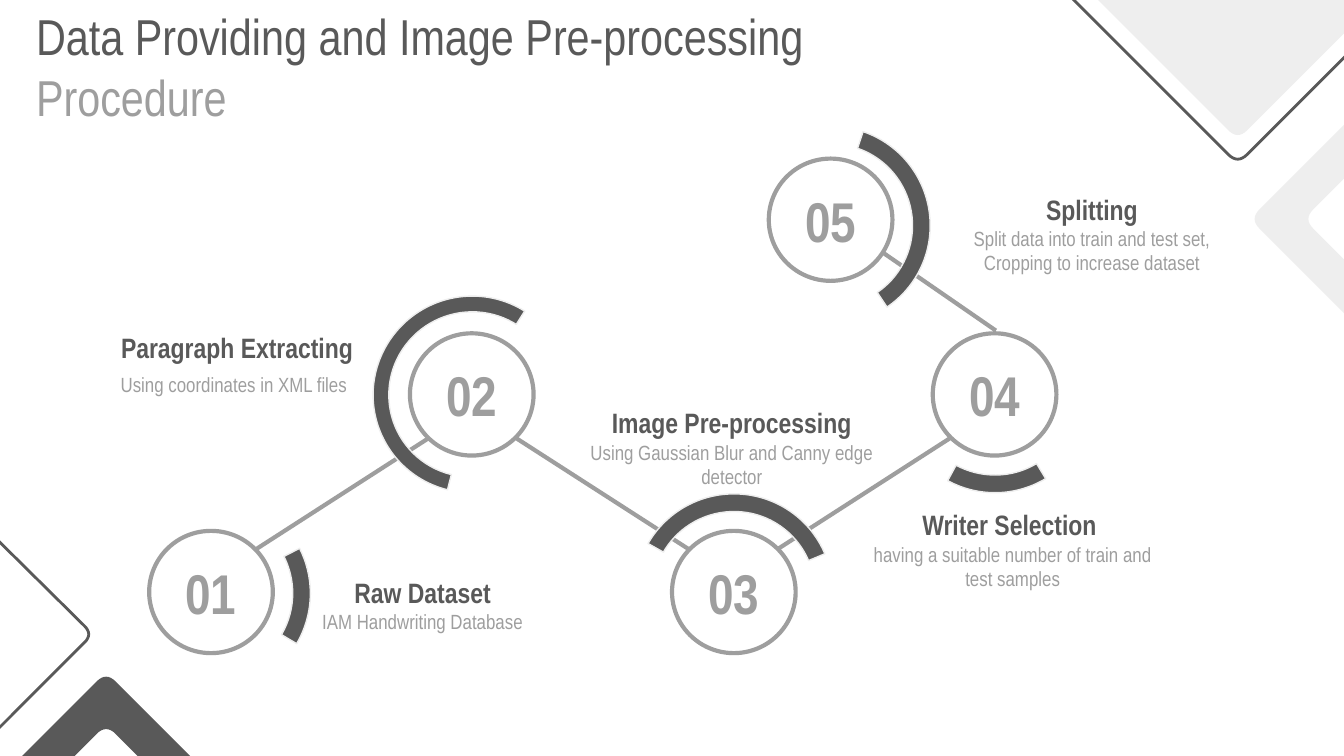
from lxml.etree import SubElement
from pptx import Presentation
from pptx.dml.color import RGBColor
from pptx.enum.shapes import MSO_CONNECTOR, MSO_SHAPE
from pptx.enum.text import MSO_ANCHOR, PP_ALIGN
from pptx.oxml.ns import qn
from pptx.util import Inches, Pt


class Theme:
    font = "Arial Narrow"
    dark = RGBColor(0x59, 0x59, 0x59)
    grey = RGBColor(0x9E, 0x9E, 0x9E)
    pale = RGBColor(0xEE, 0xEE, 0xEE)
    title = {"size": Pt(27), "bold": False}
    number = {"size": Pt(30), "bold": True}
    heading = {"size": Pt(15), "bold": True}
    body = {"size": Pt(11), "bold": False}


class Deck:
    def __init__(self, theme, width):
        self.t = theme
        self.prs = Presentation()
        # Widescreen, 16:9
        self.prs.slide_width = Inches(width)
        self.prs.slide_height = Inches(width) * 9 // 16
        self.s = self.prs.slides.add_slide(self.prs.slide_layouts[6])

    def paint(self, sp, fill=None, line=None, weight=1.0):
        sp.shadow.inherit = False
        for part, color in ((sp.fill, fill), (sp.line.fill, line)):
            if color is None:
                part.background()
            else:
                part.solid()
                part.fore_color.rgb = color
        if line is not None:
            sp.line.width = Pt(weight)

    def frame(self, sp, inset, anchor):
        tf = sp.text_frame
        values = {"word_wrap": True, "vertical_anchor": anchor}
        for side in ("left", "right", "top", "bottom"):
            values[f"margin_{side}"] = Inches(inset)
        for name, value in values.items():
            setattr(tf, name, value)
        return tf

    def run(self, p, text, style, color):
        r = p.add_run()
        r.text = text
        for name, value in {"name": self.t.font, **style}.items():
            setattr(r.font, name, value)
        r.font.color.rgb = color

    def outline(self, vertices, cut=0.07, **look):
        """Draw a polygon; a vertex marked True gets a rounded corner."""
        points = []
        for i, (x, y, is_round) in enumerate(vertices):
            if not is_round:
                points.append((x, y))
                continue
            near, far = vertices[i - 1], vertices[(i + 1) % len(vertices)]
            # All edges at a rounded corner are diagonal
            (ax, ay), (bx, by) = [
                (x + cut * (1 if v[0] > x else -1), y + cut * (1 if v[1] > y else -1))
                for v in (near, far)]
            for k in range(9):
                u = k / 8
                a, b, c = (1 - u) ** 2, 2 * u * (1 - u), u ** 2
                points.append((a * ax + b * x + c * bx, a * ay + b * y + c * by))
        start, *rest = [(Inches(x), Inches(y)) for x, y in points]
        builder = self.s.shapes.build_freeform(*start)
        builder.add_line_segments(rest, close=True)
        self.paint(builder.convert_to_shape(), **look)

    def link(self, x1, y1, x2, y2):
        c = self.s.shapes.add_connector(
            MSO_CONNECTOR.STRAIGHT, Inches(x1), Inches(y1), Inches(x2), Inches(y2))
        c.line.color.rgb = self.t.grey
        c.line.width = Pt(2.25)
        SubElement(c._element.spPr, qn("a:effectLst"))

    def circle(self, x, y, number):
        sp = self.s.shapes.add_shape(
            MSO_SHAPE.OVAL, Inches(x), Inches(y), Inches(0.92), Inches(0.91))
        self.paint(sp, line=self.t.grey, weight=2.25)
        p = self.frame(sp, 0.1, MSO_ANCHOR.MIDDLE).paragraphs[0]
        p.alignment = PP_ALIGN.CENTER
        self.run(p, number, self.t.number, self.t.grey)

    def arc(self, x, y, start, end, thickness, rotation):
        sp = self.s.shapes.add_shape(
            MSO_SHAPE.BLOCK_ARC, Inches(x), Inches(y), Inches(1.46), Inches(1.47))
        # Angles are stored in 60000ths of a degree, scaled by 100000
        for i, value in enumerate((start * 0.6, end * 0.6, thickness)):
            sp.adjustments[i] = value
        sp.rotation = rotation
        self.paint(sp, fill=self.t.dark, line=self.t.pale, weight=0.75)

    def title(self, x, y, w, h, first, second):
        sp = self.s.shapes.add_textbox(Inches(x), Inches(y), Inches(w), Inches(h))
        p = self.frame(sp, 0.1, MSO_ANCHOR.MIDDLE).paragraphs[0]
        self.run(p, first, self.t.title, self.t.dark)
        self.run(p, second, self.t.title, self.t.grey)

    def label(self, x, y, w, heading, body, tail=""):
        sp = self.s.shapes.add_textbox(Inches(x), Inches(y), Inches(w), Inches(0.31))
        tf = self.frame(sp, 0, MSO_ANCHOR.TOP)
        p, p2 = tf.paragraphs[0], tf.add_paragraph()
        p.alignment = p2.alignment = PP_ALIGN.CENTER
        self.run(p, heading, self.t.heading, self.t.dark)
        self.run(p2, body, self.t.body, self.t.grey)
        if tail:
            self.run(p2, tail, self.t.heading, self.t.dark)


def main():
    t = Theme
    d = Deck(t, 10)

    # Corner decoration
    for top, look in ((-0.1, {"line": t.dark, "weight": 1.5}), (-0.28, {"fill": t.pale})):
        d.outline([(7.93, top, False), (7.93, top + 0.04, False),
                   (9.21, top + 1.32, True),
                   (10.49, top + 0.04, False), (10.49, top, False)], **look)
    d.outline([(0.79, 5, True), (-0.33, 6.12, True), (-0.13, 6.31, False),
               (0.79, 5.39, True), (1.71, 6.31, False), (1.91, 6.12, True)], fill=t.dark)
    d.outline([(9.3, 1.63, True), (10.47, 2.8, True), (10.67, 2.6, False),
               (9.7, 1.63, True), (10.67, 0.66, False), (10.47, 0.46, True)], fill=t.pale)
    d.outline([(-0.36, 5.74, False), (-0.33, 5.74, False), (0.69, 4.72, True),
               (-0.33, 3.71, False), (-0.36, 3.71, False)],
              cut=0.06, line=t.dark, weight=1.5)

    # Title
    d.title(0.17, 0.16, 7.35, 0.66, "Data Providing and Image Pre-processing ", "Procedure")

    # Links between steps
    for ends in ((1.9, 4.09, 3.19, 3.26), (3.84, 3.26, 5.13, 4.09),
                 (5.78, 4.09, 7.07, 3.26), (6.57, 1.88, 7.41, 2.46)):
        d.link(*ends)

    # Steps: circle position, arc, label
    steps = [
        ((1.11, 3.95), (0.85, 3.68, 332.77, 30.84, 0.09, 0),
         (2.33, 4.28, 1.63, "Raw Dataset", "IAM Handwriting Database")),
        ((3.05, 2.48), (2.78, 2.2, 44.55, 242.77, 0.08, 59.7),
         (0.56, 2.46, 2.41, "Paragraph Extracting",
          "Using coordinates in XML files", " ")),
        ((5, 3.95), (4.73, 3.67, 125.97, 253.73, 0.09, 83.5),
         (4.32, 3.02, 2.25, "Image Pre-processing",
          "Using Gaussian Blur and Canny edge detector")),
        ((6.94, 2.48), (6.67, 2.2, 127.17, 186.98, 0.09, 291.5),
         (6.39, 3.78, 2.29, "Writer Selection ",
          "having a suitable number of train and test samples")),
        ((5.72, 1.18), (5.46, 0.94, 125.97, 253.73, 0.09, 162.4),
         (7, 1.43, 2.25, "Splitting",
          "Split data into train and test set, Cropping to increase dataset")),
    ]
    for i, (spot, arc, label) in enumerate(steps, 1):
        d.circle(*spot, f"{i:02d}")
        d.arc(*arc)
        d.label(*label)

    d.prs.save("out.pptx")


if __name__ == "__main__":
    main()
